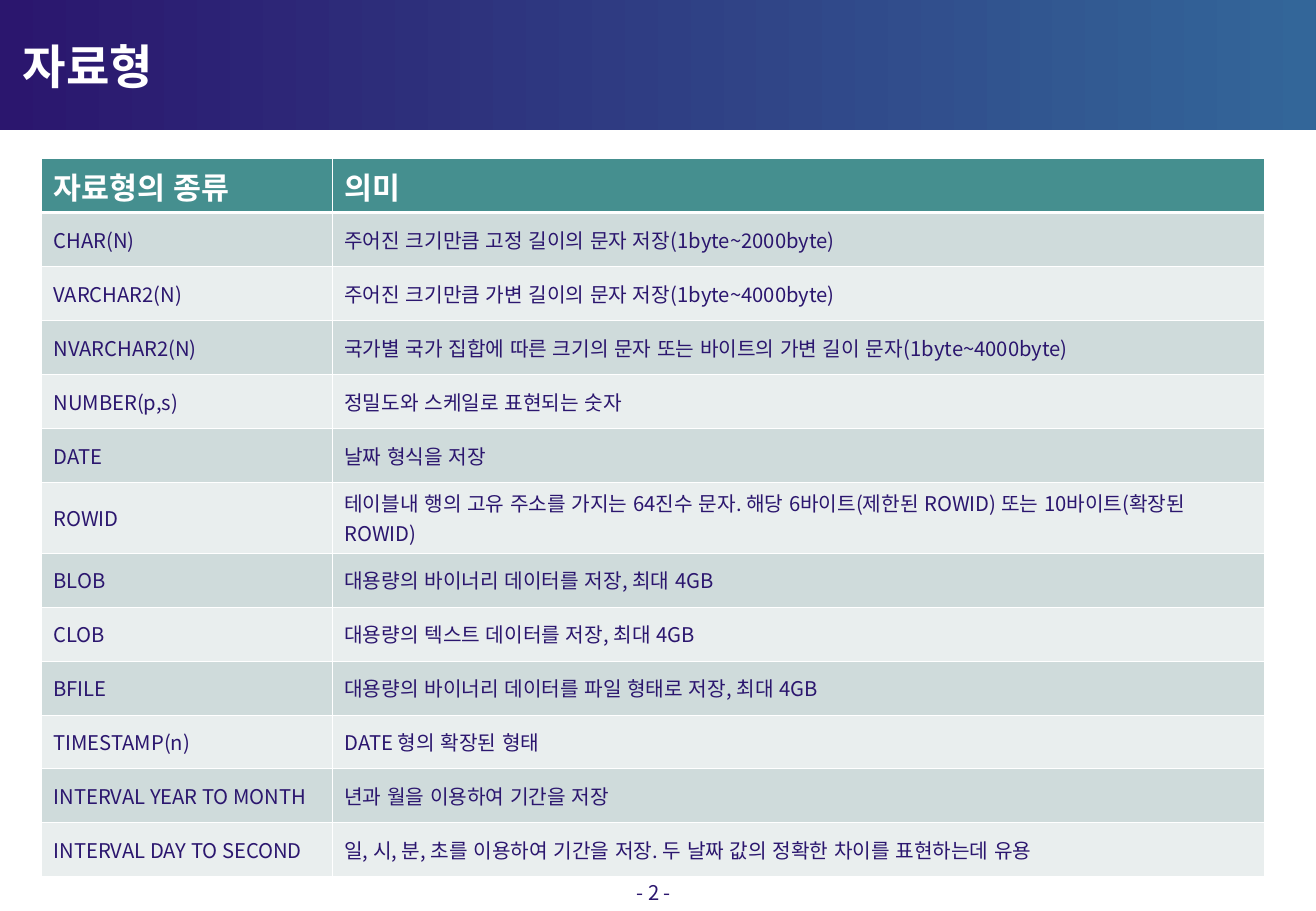
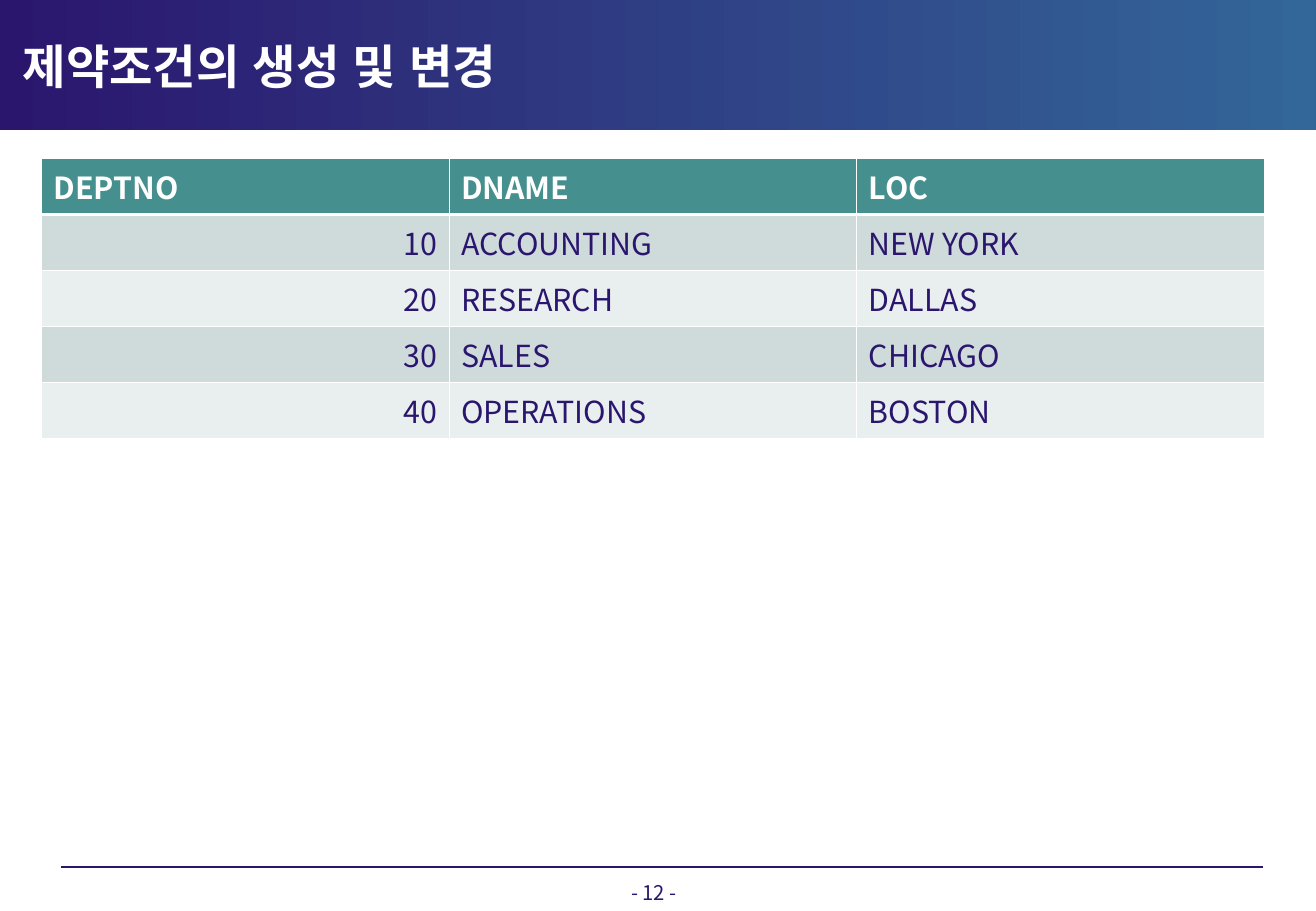
from dataclasses import dataclass

from lxml import etree
from pptx import Presentation
from pptx.dml.color import RGBColor
from pptx.enum.lang import MSO_LANGUAGE_ID
from pptx.enum.shapes import MSO_CONNECTOR, MSO_SHAPE
from pptx.enum.text import MSO_ANCHOR, PP_ALIGN
from pptx.oxml.ns import qn
from pptx.slide import Slide
from pptx.table import _Cell
from pptx.text.text import TextFrame
from pptx.util import Pt

LEFT, CENTER, RIGHT = PP_ALIGN.LEFT, PP_ALIGN.CENTER, PP_ALIGN.RIGHT
TOP, MIDDLE = MSO_ANCHOR.TOP, MSO_ANCHOR.MIDDLE
STRAIGHT = MSO_CONNECTOR.STRAIGHT
RECTANGLE = MSO_SHAPE.RECTANGLE
KOREAN = MSO_LANGUAGE_ID.KOREAN

# Colours and font
NAVY = RGBColor(0x2B, 0x16, 0x6E)
BLUE = RGBColor(0x33, 0x66, 0x99)
TEAL = RGBColor(0x45, 0x8F, 0x8F)
BAND_DARK = RGBColor(0xCF, 0xDB, 0xDB)
BAND_LIGHT = RGBColor(0xE9, 0xEE, 0xEE)
WHITE = RGBColor(0xFF, 0xFF, 0xFF)
FONT = "Noto Sans CJK KR"

# Layout, in points
SLIDE_WIDTH, SLIDE_HEIGHT = 780.25, 540
BAND_WIDTH, BAND_HEIGHT = 780, 77
TABLE_LEFT, TABLE_TOP, TABLE_WIDTH = 24.5, 94, 725.2
THIN_BORDER, HEADER_BORDER = 0.45, 1.47

# Text formats
TITLE_FORMAT = {"size": Pt(28), "bold": True, "color": WHITE}
HEADER_FORMAT = {"size": Pt(18), "bold": True, "color": WHITE}
FOOTER_FORMAT = {"size": Pt(12), "bold": False, "color": NAVY}


@dataclass(frozen=True)
class TableSlide:
    title: str
    page: int
    column_widths: list[float]
    row_heights: list[float]
    body_size: float
    anchor: MSO_ANCHOR
    alignments: list[PP_ALIGN]
    rows: list[tuple[str, ...]]


DATA_TYPES = [
    ("자료형의 종류", "의미"),
    ("CHAR(N)", "주어진 크기만큼 고정 길이의 문자 저장(1byte~2000byte)"),
    ("VARCHAR2(N)", "주어진 크기만큼 가변 길이의 문자 저장(1byte~4000byte)"),
    ("NVARCHAR2(N)", "국가별 국가 집합에 따른 크기의 문자 또는 바이트의 가변 길이 문자(1byte~4000byte)"),
    ("NUMBER(p,s)", "정밀도와 스케일로 표현되는 숫자"),
    ("DATE", "날짜 형식을 저장"),
    ("ROWID", "테이블내 행의 고유 주소를 가지는 64진수 문자. 해당 6바이트(제한된 ROWID) 또는 10바이트(확장된 ROWID)"),
    ("BLOB", "대용량의 바이너리 데이터를 저장, 최대 4GB"),
    ("CLOB", "대용량의 텍스트 데이터를 저장, 최대 4GB"),
    ("BFILE", "대용량의 바이너리 데이터를 파일 형태로 저장, 최대 4GB"),
    ("TIMESTAMP(n)", "DATE 형의 확장된 형태"),
    ("INTERVAL YEAR TO MONTH", "년과 월을 이용하여 기간을 저장"),
    ("INTERVAL DAY TO SECOND", "일, 시, 분, 초를 이용하여 기간을 저장. 두 날짜 값의 정확한 차이를 표현하는데 유용"),
]
DEPARTMENTS = [
    ("DEPTNO", "DNAME", "LOC"),
    ("10", "ACCOUNTING", "NEW YORK"),
    ("20", "RESEARCH", "DALLAS"),
    ("30", "SALES", "CHICAGO"),
    ("40", "OPERATIONS", "BOSTON"),
]
SLIDES = [
    TableSlide("자료형", 2, [172.5, TABLE_WIDTH - 172.5],
               [42 if row[0] == "ROWID" else 32 for row in DATA_TYPES],
               12, MIDDLE, [LEFT, LEFT], DATA_TYPES),
    TableSlide("제약조건의 생성 및 변경", 12, [TABLE_WIDTH / 3] * 3,
               [33.2] * len(DEPARTMENTS),
               18, TOP, [RIGHT, LEFT, LEFT], DEPARTMENTS),
]


def write_text(frame: TextFrame, text: str, text_format: dict,
               alignment: PP_ALIGN = LEFT) -> None:
    paragraph = frame.paragraphs[0]
    paragraph.alignment = alignment
    run = paragraph.add_run()
    run.text = text
    run.font.name = FONT
    run.font.language_id = KOREAN
    for name, value in text_format.items():
        if name == "color":
            run.font.color.rgb = value
        else:
            setattr(run.font, name, value)
    # Pair kerning, and the East Asian typeface after the Latin one
    properties = run.font._element
    properties.set("kern", "1200")
    east_asian = etree.Element(qn("a:ea"), typeface=FONT)
    properties.find(qn("a:latin")).addnext(east_asian)


def add_text(slide: Slide, box: tuple[float, float, float, float], text: str,
             text_format: dict, alignment: PP_ALIGN, anchor: MSO_ANCHOR) -> None:
    shape = slide.shapes.add_textbox(*map(Pt, box))
    shape.text_frame.word_wrap = True
    shape.text_frame.vertical_anchor = anchor
    write_text(shape.text_frame, text, text_format, alignment)


def add_frame(slide: Slide, title: str, page: int) -> None:
    # Footer rule
    rule = slide.shapes.add_connector(STRAIGHT, Pt(36), Pt(514), Pt(749), Pt(514))
    rule.line.color.rgb = NAVY
    rule.line.width = Pt(0.75)
    etree.SubElement(rule._element.spPr, qn("a:effectLst"))
    # Title band
    band = slide.shapes.add_shape(RECTANGLE, 0, 0, Pt(BAND_WIDTH), Pt(BAND_HEIGHT))
    band.shadow.inherit = False
    band.line.fill.background()
    band.fill.gradient()
    band.fill.gradient_angle = 0
    for position, color in enumerate((NAVY, BLUE)):
        stop = band.fill.gradient_stops[position]
        stop.color.rgb = color
        stop.position = position
    # Page number and title
    add_text(slide, (311, 518, 153.4, 15.8), f"- {page} -", FOOTER_FORMAT, CENTER, TOP)
    add_text(slide, (6.5, 16.6, 585.4, 44.6), title, TITLE_FORMAT, LEFT, MIDDLE)


def set_borders(cell: _Cell, row_index: int) -> None:
    widths = {
        "a:lnL": THIN_BORDER,
        "a:lnR": THIN_BORDER,
        "a:lnT": HEADER_BORDER if row_index == 1 else THIN_BORDER,
        "a:lnB": HEADER_BORDER if row_index == 0 else THIN_BORDER,
    }
    properties = cell._tc.get_or_add_tcPr()
    for position, (tag, width) in enumerate(widths.items()):
        line = etree.Element(qn(tag), w=str(int(Pt(width))))
        fill = etree.SubElement(line, qn("a:solidFill"))
        etree.SubElement(fill, qn("a:srgbClr"), val=str(WHITE))
        properties.insert(position, line)


def add_data_table(slide: Slide, content: TableSlide) -> None:
    table = slide.shapes.add_table(
        len(content.rows), len(content.column_widths), Pt(TABLE_LEFT), Pt(TABLE_TOP),
        Pt(TABLE_WIDTH), Pt(sum(content.row_heights))).table
    for column, width in zip(table.columns, content.column_widths):
        column.width = Pt(width)
    body_format = {"size": Pt(content.body_size), "bold": False, "color": NAVY}
    for row_index, texts in enumerate(content.rows):
        table.rows[row_index].height = Pt(content.row_heights[row_index])
        is_header = row_index == 0
        band_color = BAND_DARK if row_index % 2 else BAND_LIGHT
        for column_index, text in enumerate(texts):
            cell = table.cell(row_index, column_index)
            cell.vertical_anchor = content.anchor
            cell.fill.solid()
            cell.fill.fore_color.rgb = TEAL if is_header else band_color
            set_borders(cell, row_index)
            write_text(cell.text_frame, text,
                       HEADER_FORMAT if is_header else body_format,
                       LEFT if is_header else content.alignments[column_index])


def main() -> None:
    presentation = Presentation()
    presentation.slide_width = Pt(SLIDE_WIDTH)
    presentation.slide_height = Pt(SLIDE_HEIGHT)
    blank_layout = presentation.slide_layouts[6]
    for content in SLIDES:
        slide = presentation.slides.add_slide(blank_layout)
        add_frame(slide, content.title, content.page)
        add_data_table(slide, content)
    presentation.save("out.pptx")


if __name__ == "__main__":
    main()
